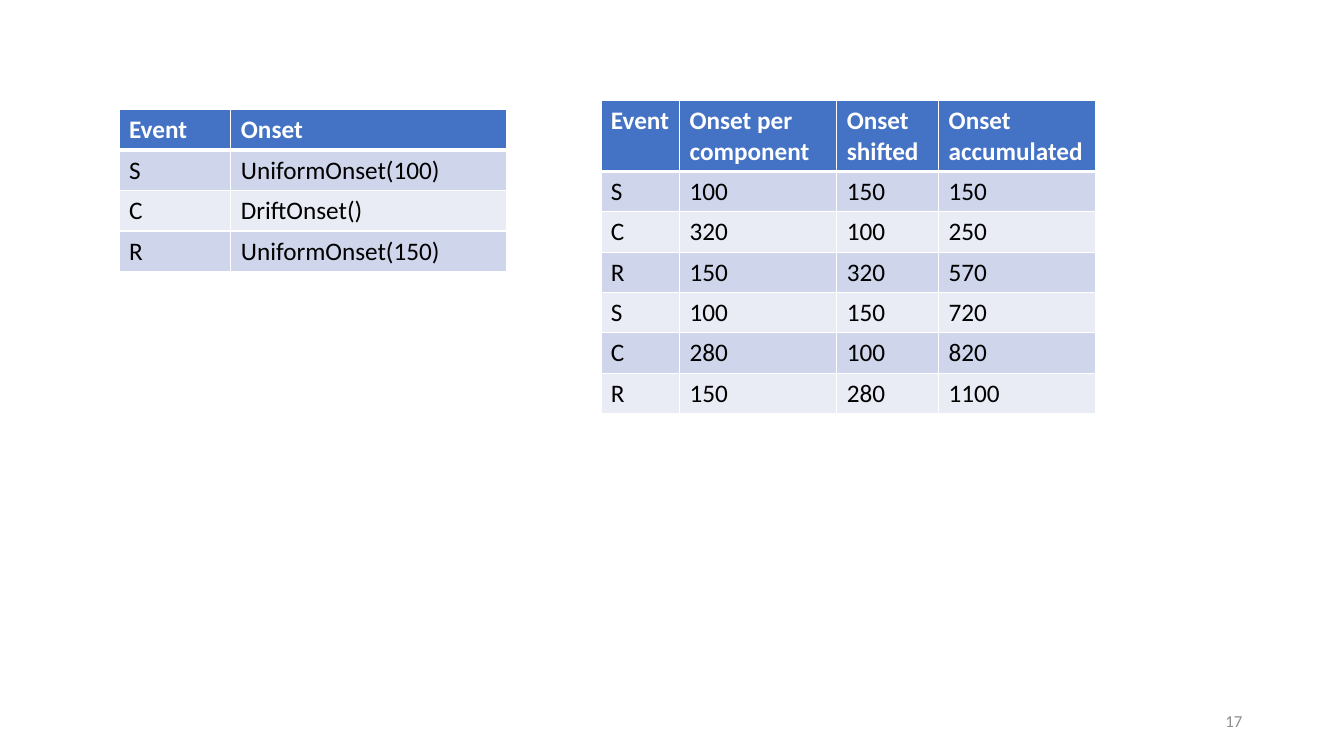
from pptx import Presentation
from pptx.dml.color import RGBColor
from pptx.enum.text import MSO_ANCHOR, PP_ALIGN
from pptx.oxml.ns import qn
from pptx.util import Inches, Pt
from lxml import etree

MIDDLE = MSO_ANCHOR.MIDDLE
RIGHT = PP_ALIGN.RIGHT
BLANK_LAYOUT = 6

FONT = "Calibri"
WHITE, BLACK, GREY = "FFFFFF", "000000", "8C8C8C"
HEADER_FILL = "4472C4"
BAND_FILLS = ("CFD5EA", "E9EBF5")
ROW_HEIGHT = 0.4

ONSET_RULES = [
    ("Event", "Onset"),
    ("S", "UniformOnset(100)"),
    ("C", "DriftOnset()"),
    ("R", "UniformOnset(150)"),
]
ONSET_VALUES = [
    ("Event", "Onset per \vcomponent", "Onset shifted", "Onset accumulated"),
    ("S", "100", "150", "150"),
    ("C", "320", "100", "250"),
    ("R", "150", "320", "570"),
    ("S", "100", "150", "720"),
    ("C", "280", "100", "820"),
    ("R", "150", "280", "1100"),
]


def color(hex_string):
    return RGBColor.from_string(hex_string)


def write_text(frame, text, *, size=18, fill=BLACK, bold=False, align=None):
    """Fill the frame's first paragraph; a vertical tab breaks the line."""
    para = frame.paragraphs[0]
    para.text = text
    para.alignment = align
    for span in para.runs:
        span.font.name = FONT
        span.font.size = Pt(size)
        span.font.bold = bold
        span.font.color.rgb = color(fill)


def set_borders(cell, **widths):
    """Draw white borders; widths in points are keyed L, R, T and B."""
    properties = cell._tc.get_or_add_tcPr()
    for index, side in enumerate("LRTB"):
        line = etree.Element(qn(f"a:ln{side}"), w=str(Pt(widths.get(side, 1))))
        solid = etree.SubElement(line, qn("a:solidFill"))
        etree.SubElement(solid, qn("a:srgbClr"), val=WHITE)
        properties.insert(index, line)


def add_event_table(page, left, top, column_widths, rows, header_height=ROW_HEIGHT):
    height = header_height + ROW_HEIGHT * (len(rows) - 1)
    frame = page.shapes.add_table(
        len(rows), len(column_widths), Inches(left), Inches(top),
        Inches(sum(column_widths)), Inches(height))
    table = frame.table
    for column, width in zip(table.columns, column_widths):
        column.width = Inches(width)
    for row_index, values in enumerate(rows):
        is_header = row_index == 0
        table.rows[row_index].height = Inches(header_height if is_header else ROW_HEIGHT)
        for column_index, text in enumerate(values):
            cell = table.cell(row_index, column_index)
            write_text(cell.text_frame, text, bold=is_header,
                       fill=WHITE if is_header else BLACK)
            cell.fill.solid()
            cell.fill.fore_color.rgb = color(
                HEADER_FILL if is_header else BAND_FILLS[(row_index - 1) % 2])
            set_borders(cell, T=3 if row_index == 1 else 1, B=3 if is_header else 1)


def add_page_number(page, left, top, width, height, number):
    box = page.shapes.add_textbox(
        Inches(left), Inches(top), Inches(width), Inches(height))
    box.text_frame.word_wrap = True
    box.text_frame.vertical_anchor = MIDDLE
    write_text(box.text_frame, number, size=12, fill=GREY, align=RIGHT)


def main():
    deck = Presentation()
    deck.slide_width, deck.slide_height = Inches(13.33), Inches(7.5)
    page = deck.slides.add_slide(deck.slide_layouts[BLANK_LAYOUT])
    add_page_number(page, 9.42, 6.95, 3, 0.4, "17")
    add_event_table(page, 1.18, 1.09, (1.11, 2.73), ONSET_RULES)
    add_event_table(page, 5.96, 1, (0.78, 1.56, 1.01, 1.56), ONSET_VALUES,
                    header_height=0.7)
    deck.save("out.pptx")


if __name__ == "__main__":
    main()
